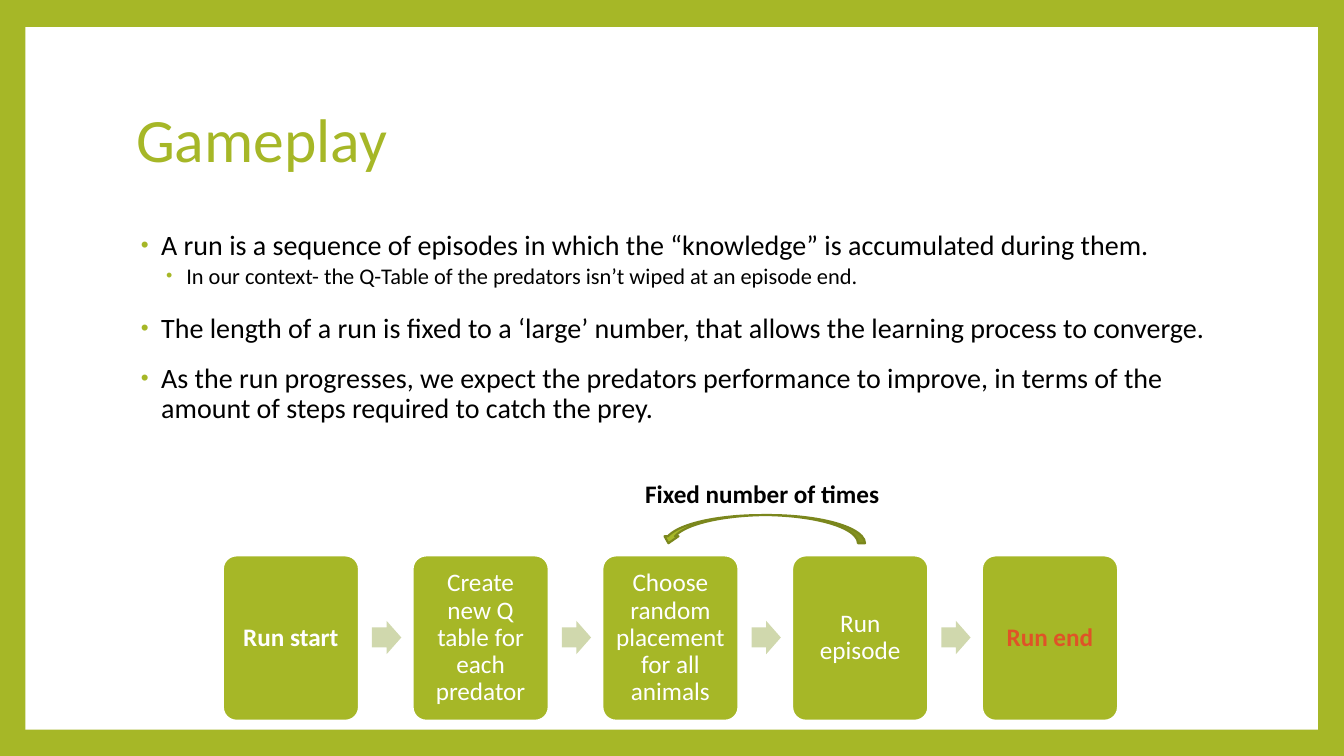
import pptx
import pptx.util
import pptx.dml.color
import pptx.enum.shapes
import pptx.enum.text
import pptx.oxml
import pptx.oxml.ns

COLORS = {"green": "A6B727", "pale": "D0D8AD", "olive": "7B871D",
          "white": "FFFFFF", "black": "000000", "orange": "DF5327"}
SHAPES = pptx.enum.shapes.MSO_SHAPE
ALIGN = pptx.enum.text.PP_ALIGN
MIDDLE = pptx.enum.text.MSO_ANCHOR.MIDDLE
Pt = pptx.util.Pt

presentation = pptx.Presentation()
presentation.slide_width = pptx.util.Inches(13.33)
presentation.slide_height = pptx.util.Inches(7.5)
column = presentation.slide_width / 100
row = presentation.slide_height / 100
slide = presentation.slides.add_slide(presentation.slide_layouts[5])
slide.background.fill.solid()
slide.background.fill.fore_color.rgb = pptx.dml.color.RGBColor.from_string(COLORS["green"])


def add_block(kind, left, top, width, height, fill, line=None):
    shape = slide.shapes.add_shape(kind, int(left * column), int(top * row),
                                   int(width * column), int(height * row))
    shape.shadow.inherit = False
    shape.fill.solid()
    shape.fill.fore_color.rgb = pptx.dml.color.RGBColor.from_string(COLORS[fill])
    if line:
        shape.line.color.rgb = pptx.dml.color.RGBColor.from_string(COLORS[line])
        shape.line.width = Pt(1.5)
    else:
        shape.line.fill.background()
    return shape


def write(paragraph, text, size, color, bold=False, **paragraph_format):
    paragraph.text = text
    for name, value in paragraph_format.items():
        setattr(paragraph, name, value)
    font = paragraph.runs[0].font
    for name, value in {"name": "Calibri", "size": Pt(size), "bold": bold}.items():
        setattr(font, name, value)
    font.color.rgb = pptx.dml.color.RGBColor.from_string(COLORS[color])


panel = add_block(SHAPES.RECTANGLE, 1.88, 3.6, 96.17, 92.93, "white")
title = slide.shapes.title
title.element.addprevious(panel.element)
title_place = {"left": 9.38 * column, "top": 8.93 * row,
               "width": 81.02 * column, "height": 19.73 * row}
for name, value in title_place.items():
    setattr(title, name, int(value))
title.text_frame.vertical_anchor = MIDDLE
write(title.text_frame.paragraphs[0], "Gameplay", 44, "green",
      alignment=ALIGN.LEFT, line_spacing=0.9)

body = slide.shapes.add_textbox(int(9.38 * column), int(30 * row),
                                int(81.02 * column), int(58.93 * row))
body.text_frame.word_wrap = True
points = [
    (0, "A run is a sequence of episodes in which the “knowledge” is accumulated during them."),
    (1, "In our context- the Q-Table of the predators isn’t wiped at an episode end."),
    (0, "The length of a run is fixed to a ‘large’ number, that allows the learning process to converge."),
    (0, "As the run progresses, we expect the predators performance to improve, in terms of the "
        "amount of steps required to catch the prey."),
]
levels = [{"size": 20, "space_before": Pt(14), "space_after": Pt(0)},
          {"size": 16, "space_before": Pt(2), "space_after": Pt(4)}]
bullet_parts = [f'<a:buClr {{}}><a:srgbClr val="{COLORS["green"]}"/></a:buClr>',
                '<a:buSzPct {} val="80000"/>',
                '<a:buFont {} typeface="Arial"/>',
                '<a:buChar {} char="•"/>']
for index, (level, text) in enumerate(points):
    paragraph = body.text_frame.add_paragraph() if index else body.text_frame.paragraphs[0]
    write(paragraph, text, color="black", level=level, line_spacing=0.9, **levels[level])
    properties = paragraph._p.get_or_add_pPr()
    properties.set("marL", str(pptx.util.Inches(0.25 * (level + 1))))
    properties.set("indent", str(pptx.util.Inches(-0.2)))
    for part in bullet_parts:
        properties.append(pptx.oxml.parse_xml(part.format(pptx.oxml.ns.nsdecls("a"))))

steps = [("Run start", "white", True),
         ("Create new Q table for each predator", "white", False),
         ("Choose random placement for all animals", "white", False),
         ("Run episode", "white", False),
         ("Run end", "orange", True)]
frame_format = {"word_wrap": True, "vertical_anchor": MIDDLE}
for side in ("left", "right", "top", "bottom"):
    frame_format["margin_" + side] = pptx.util.Inches(0.07)
for index, (text, color, bold) in enumerate(steps):
    left = 16.58 + 14.12 * index
    step = add_block(SHAPES.ROUNDED_RECTANGLE, left, 73.47, 10.13, 21.87, "green", "white")
    step.adjustments[0] = 0.1
    for name, value in frame_format.items():
        setattr(step.text_frame, name, value)
    write(step.text_frame.paragraphs[0], text, 18, color, bold,
          alignment=ALIGN.CENTER, line_spacing=0.9)
    if index < len(steps) - 1:
        arrow = add_block(SHAPES.RIGHT_ARROW, left + 11.1, 82.13, 2.18, 4.4, "pale")
        arrow.adjustments[0] = 0.6

repeat_arrow = add_block(SHAPES.CURVED_UP_ARROW, 49.21, 68.13, 15.15, 3.73, "green", "olive")
repeat_arrow.rotation = 180
repeat_label = slide.shapes.add_textbox(int(47.26 * column), int(62.67 * row),
                                        int(21.31 * column), int(5.33 * row))
repeat_label.text_frame.word_wrap = True
write(repeat_label.text_frame.paragraphs[0], "Fixed number of times", 18, "black", True)

presentation.save("out.pptx")
